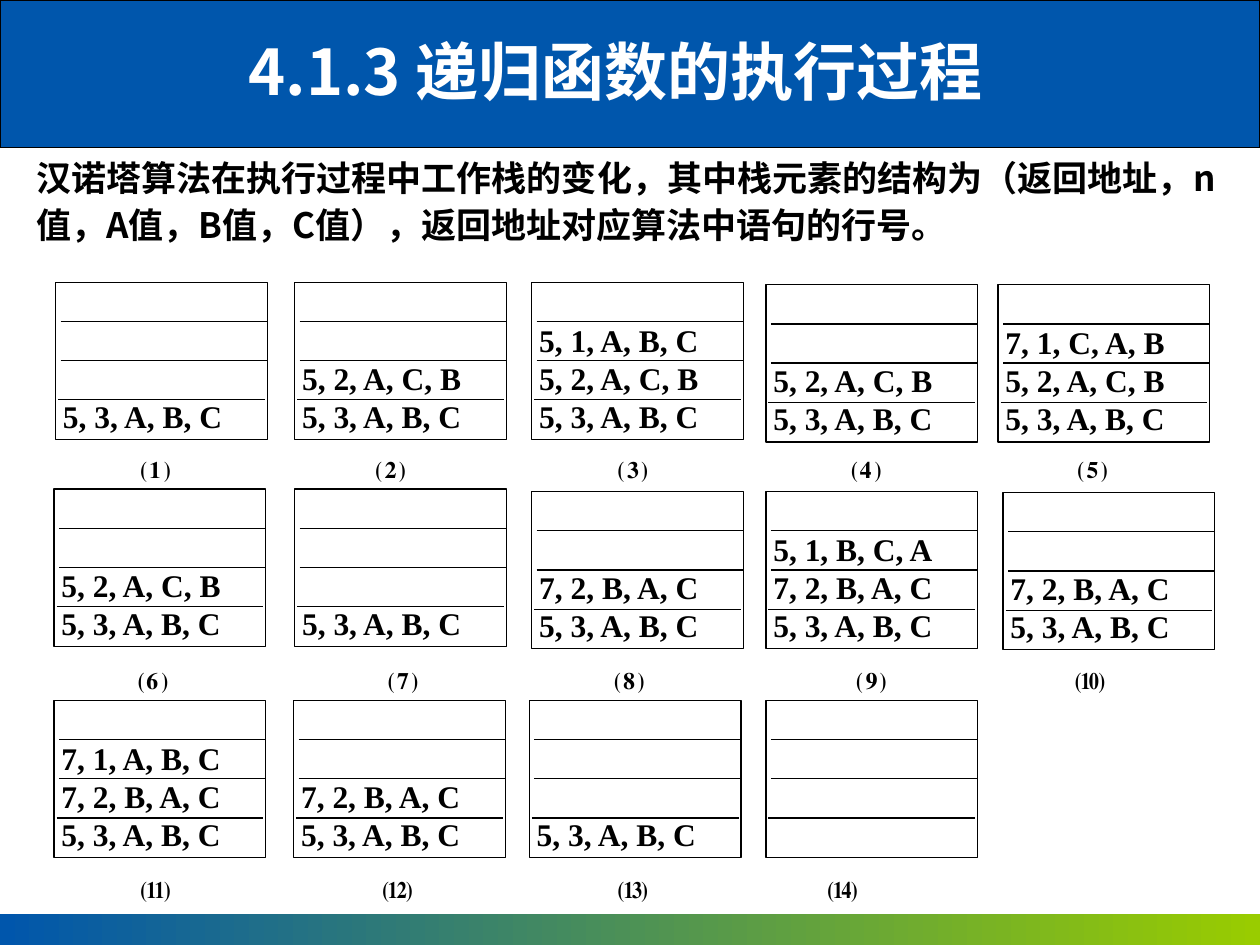
from typing import NamedTuple

from lxml import etree
from pptx import Presentation
from pptx.dml.color import RGBColor
from pptx.enum.shapes import MSO_CONNECTOR, MSO_SHAPE
from pptx.enum.text import MSO_ANCHOR, PP_ALIGN
from pptx.oxml.ns import qn
from pptx.util import Cm, Pt

RECT = MSO_SHAPE.RECTANGLE
LINE = MSO_CONNECTOR.STRAIGHT
TOP, MIDDLE, BOTTOM = MSO_ANCHOR.TOP, MSO_ANCHOR.MIDDLE, MSO_ANCHOR.BOTTOM
LEFT, CENTER = PP_ALIGN.LEFT, PP_ALIGN.CENTER
SANS, SERIF = "Noto Sans CJK SC", "Times New Roman"
BLACK, WHITE, BLUE, GREEN = "000000", "FFFFFF", "0056AC", "99CC00"
WIDE, HIGH = 4.27, 3.17
STEP, RULE = 0.79, 4.17


class Stack(NamedTuple):
    left: float
    top: float
    rows: tuple[str, ...] = ()


class Label(NamedTuple):
    left: float
    top: float
    text: str
    stops: tuple[float, ...]


BASE = "5, 3, A, B, C"
MOVE = "5, 2, A, C, B"
BACK = "7, 2, B, A, C"

STACKS = [
    Stack(1.12, 5.69, (BASE,)),
    Stack(5.94, 5.69, (MOVE, BASE)),
    Stack(10.72, 5.69, ("5, 1, A, B, C", MOVE, BASE)),
    Stack(15.44, 5.74, (MOVE, BASE)),
    Stack(20.12, 5.74, ("7, 1, C, A, B", MOVE, BASE)),
    Stack(1.09, 9.86, (MOVE, BASE)),
    Stack(5.94, 9.86, (BASE,)),
    Stack(10.72, 9.91, (BACK, BASE)),
    Stack(15.44, 9.91, ("5, 1, B, C, A", BACK, BASE)),
    Stack(20.22, 9.93, (BACK, BASE)),
    Stack(1.09, 14.12, ("7, 1, A, B, C", BACK, BASE)),
    Stack(5.92, 14.12, (BACK, BASE)),
    Stack(10.67, 14.12, (BASE,)),
    Stack(15.44, 14.12),
]

LABELS = [
    Label(2.84, 9.02, "⑴\t⑵\t⑶\t⑷\t⑸", (4.74, 9.62, 14.33, 18.89)),
    Label(2.79, 13.26, "⑹\t⑺\t⑻\t⑼\t⑽", (5.04, 9.6, 14.48, 18.89)),
    Label(2.84, 17.48, "⑾\t⑿\t⒀\t⒁", (4.88, 9.62, 13.85)),
]


def paint(tint: str) -> RGBColor:
    """Turn a hex string into a colour."""
    return RGBColor.from_string(tint)


def write(shape, text: str, *, size: float, font: str = SERIF, tint: str = BLACK,
          align=LEFT, anchor=TOP, pads=(0, 0, 0, 0), space=None, stops=()) -> None:
    """Fill a shape with bold text, one paragraph per line."""
    frame = shape.text_frame
    frame.word_wrap = True
    frame.vertical_anchor = anchor
    (frame.margin_left, frame.margin_top,
     frame.margin_right, frame.margin_bottom) = map(Cm, pads)
    frame.text = text
    for para in frame.paragraphs:
        para.alignment = align
        if space:
            para.line_spacing = space
        if stops:
            tabs = etree.SubElement(para._p.get_or_add_pPr(), qn("a:tabLst"))
            for stop in stops:
                etree.SubElement(tabs, qn("a:tab"), pos=str(Cm(stop)), algn="l")
        for run in para.runs:
            run.font.size = Pt(size)
            run.font.bold = True
            run.font.name = font
            run.font.color.rgb = paint(tint)
            east = etree.SubElement(run.font._element, qn("a:ea"))
            east.set("typeface", font)


def add_box(slide, left: float, top: float, wide: float, high: float):
    """Add an unfilled rectangle with a thin black edge."""
    box = slide.shapes.add_shape(RECT, Cm(left), Cm(top), Cm(wide), Cm(high))
    box.shadow.inherit = False
    box.fill.background()
    box.line.color.rgb = paint(BLACK)
    box.line.width = Pt(0.75)
    return box


def add_text(slide, left: float, top: float, wide: float, high: float,
             text: str, **style) -> None:
    """Add a text box."""
    area = slide.shapes.add_textbox(Cm(left), Cm(top), Cm(wide), Cm(high))
    write(area, text, **style)


def add_rule(slide, left: float, top: float) -> None:
    """Add one level line of a stack."""
    rule = slide.shapes.add_connector(LINE, Cm(left), Cm(top), Cm(left + RULE), Cm(top))
    rule.line.color.rgb = paint(BLACK)
    rule.line.width = Pt(0.75)
    etree.SubElement(rule._element.spPr, qn("a:effectLst"))


def add_stack(slide, stack: Stack) -> None:
    """Draw a four-level stack, filled from the bottom."""
    box = add_box(slide, stack.left, stack.top, WIDE, HIGH)
    if stack.rows:
        write(box, "\n".join(stack.rows), size=18, anchor=BOTTOM,
              pads=(0.15, 0, 0.15, 0.1), space=Pt(21.7))
    for level, shift in ((3, 0.05), (2, 0.1), (1, 0.1)):
        add_rule(slide, stack.left + shift, stack.top + level * STEP)


def add_bands(slide) -> None:
    """Draw the blue head and the shaded foot."""
    head = add_box(slide, 0, 0, 25.4, 2.97)
    head.fill.solid()
    head.fill.fore_color.rgb = paint(BLUE)
    foot = add_box(slide, 0, 18.42, 25.4, 0.63)
    foot.line.fill.background()
    foot.fill.gradient()
    foot.fill.gradient_angle = 0
    for stop, tint, place in zip(foot.fill.gradient_stops, (BLUE, GREEN), (0, 1)):
        stop.color.rgb = paint(tint)
        stop.position = place


def main() -> None:
    """Build the slide and save it."""
    deck = Presentation()
    deck.slide_width, deck.slide_height = Cm(25.4), Cm(19.05)
    slide = deck.slides.add_slide(deck.slide_layouts[6])
    add_bands(slide)
    pads = (0.25, 0.13, 0.25, 0.13)
    add_text(slide, 0.48, 2.95, 24.74, 2.13,
             "汉诺塔算法在执行过程中工作栈的变化，其中栈元素的结构为"
             "（返回地址，n值，A值，B值，C值），返回地址对应算法中语句的行号。",
             size=20, font=SANS, pads=pads, space=1.1)
    for label in LABELS:
        add_text(slide, label.left, label.top, 21.5, 0.75, label.text,
                 size=18, stops=label.stops)
    for stack in STACKS:
        add_stack(slide, stack)
    add_text(slide, 0.81, 0.51, 23.19, 1.8, "4.1.3 递归函数的执行过程",
             size=36, font=SANS, tint=WHITE, align=CENTER, anchor=MIDDLE, pads=pads)
    deck.save("out.pptx")


if __name__ == "__main__":
    main()
